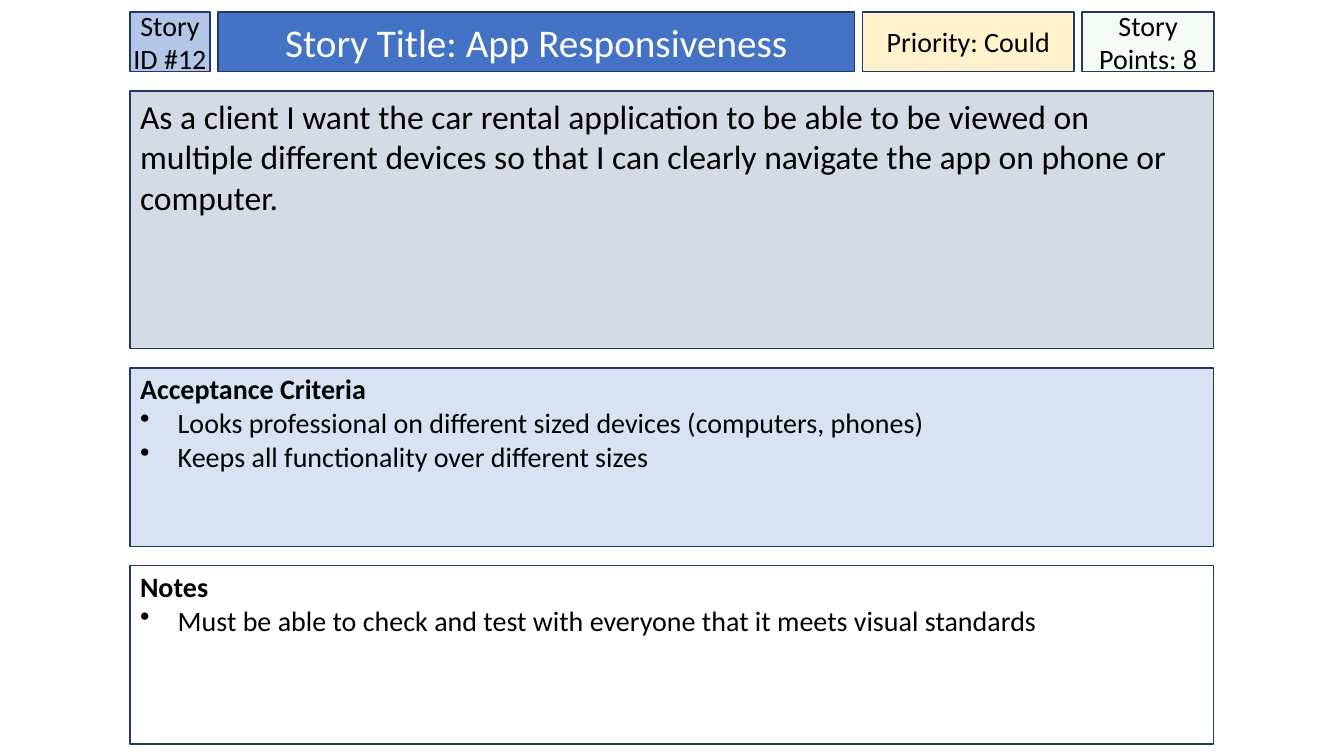
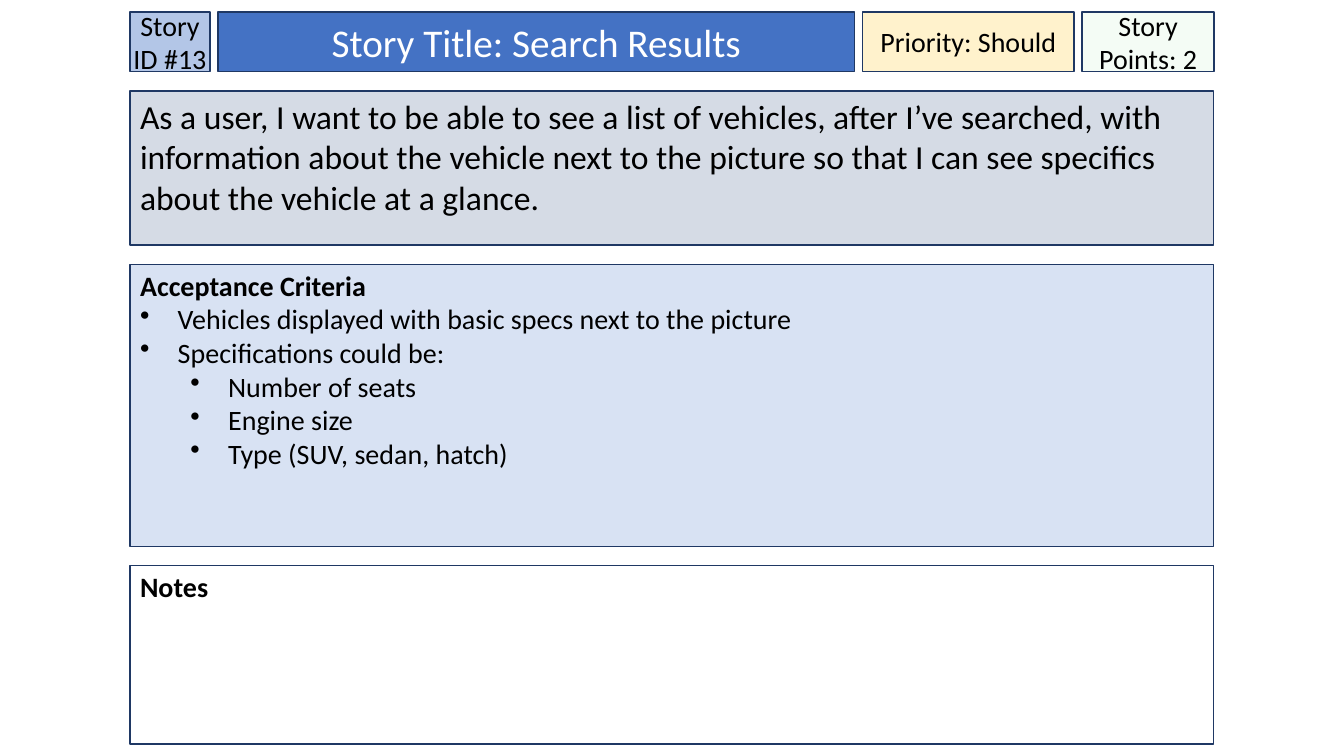
"""Build user story cards, one slide for each story."""
from dataclasses import dataclass

from lxml import etree
from pptx import Presentation
from pptx import util as u
from pptx.dml.color import RGBColor
from pptx.enum import shapes, text
from pptx.oxml.ns import qn


@dataclass(frozen=True)
class Theme:
    font: str = "Calibri"
    ink: str = "000000"
    title_ink: str = "FFFFFF"
    outline: str = "1F3864"
    story_id: str = "B3C6E7"
    title: str = "4472C4"
    priority: str = "FFF2CC"
    points: str = "CCF0CD"
    points_alpha: int = 20
    story: str = "D5DBE5"
    criteria: str = "D8E2F3"
    notes: str = "FFFFFF"
    body_size: int = 20
    story_size: int = 24
    title_size: int = 28


theme = Theme()
LEFT, TOP, HEADER_HEIGHT, HEADER_GAP = 3.28, 0.3, 1.5, 0.2
PANEL_WIDTH, PANEL_TOP, PANEL_GAP = 27.31, 2.29, 0.48
NOTES_TOP, NOTES_HEIGHT = 14.25, 4.5
INSET, PANEL_INSET_TOP = 0.25, 0.1
BULLET_INDENT, LEVEL_INDENT = 0.95, 1.27

stories = [
    {
        "id": 12, "title": "App Responsiveness", "priority": "Could", "points": 8,
        "story": "As a client I want the car rental application to be able to be viewed on "
                 "multiple different devices so that I can clearly navigate the app on phone "
                 "or computer.",
        "story_height": 6.5,
        "criteria": [
            (0, "Looks professional on different sized devices (computers, phones)"),
            (0, "Keeps all functionality over different sizes"),
        ],
        "notes": [
            (0, "Must be able to check and test with everyone that it meets visual standards"),
        ],
    },
    {
        "id": 13, "title": "Search Results", "priority": "Should", "points": 2,
        "story": "As a user, I want to be able to see a list of vehicles, after I’ve searched, "
                 "with information about the vehicle next to the picture so that I can see "
                 "specifics about the vehicle at a glance.",
        "story_height": 3.89,
        "criteria": [
            (0, "Vehicles displayed with basic specs next to the picture"),
            (0, "Specifications could be:"),
            (1, "Number of seats"),
            (1, "Engine size"),
            (1, "Type (SUV, sedan, hatch)"),
        ],
        "notes": [],
    },
]


def add_box(slide, left, top, width, height, fill, anchor, inset=INSET, inset_top=0.13):
    """Add an outlined rectangle that is ready for text."""
    shape = slide.shapes.add_shape(
        shapes.MSO_SHAPE.RECTANGLE, u.Cm(left), u.Cm(top), u.Cm(width), u.Cm(height))
    shape.shadow.inherit = False
    shape.fill.solid()
    shape.fill.fore_color.rgb = RGBColor.from_string(fill)
    shape.line.color.rgb = RGBColor.from_string(theme.outline)
    shape.line.width = u.Pt(1)
    frame = shape.text_frame
    frame.word_wrap = True
    frame.vertical_anchor = anchor
    frame.margin_left = frame.margin_right = u.Cm(inset)
    frame.margin_top, frame.margin_bottom = u.Cm(inset_top), u.Cm(0.13)
    return shape


def add_run(paragraph, words, size, color=theme.ink, bold=False, align=text.PP_ALIGN.LEFT):
    """Add one styled run to an aligned paragraph."""
    paragraph.alignment = align
    run = paragraph.add_run()
    run.text = words
    run.font.name = theme.font
    run.font.size = u.Pt(size)
    run.font.bold = bold
    run.font.color.rgb = RGBColor.from_string(color)


presentation = Presentation()
presentation.slide_width, presentation.slide_height = u.Cm(33.87), u.Cm(19.05)

for story in stories:
    slide = presentation.slides.add_slide(presentation.slide_layouts[6])

    header = [
        (f"Story ID #{story['id']}", 2.01, theme.story_id, 0, theme.body_size, theme.ink),
        (f"Story Title: {story['title']}", 16.05, theme.title, INSET,
         theme.title_size, theme.title_ink),
        (f"Priority: {story['priority']}", 5.33, theme.priority, 0, theme.body_size, theme.ink),
        (f"Story Points: {story['points']}", 3.33, theme.points, 0, theme.body_size, theme.ink),
    ]
    left = LEFT
    for words, width, fill, inset, size, color in header:
        shape = add_box(slide, left, TOP, width, HEADER_HEIGHT, fill,
                        text.MSO_ANCHOR.MIDDLE, inset)
        add_run(shape.text_frame.paragraphs[0], words, size, color,
                align=text.PP_ALIGN.CENTER)
        if fill == theme.points:
            fill_color = shape.element.spPr.find(qn("a:solidFill")).find(qn("a:srgbClr"))
            etree.SubElement(fill_color, qn("a:alpha"), val=str(theme.points_alpha * 1000))
        left += width + HEADER_GAP

    shape = add_box(slide, LEFT, PANEL_TOP, PANEL_WIDTH, story["story_height"], theme.story,
                    text.MSO_ANCHOR.TOP)
    add_run(shape.text_frame.paragraphs[0], story["story"], theme.story_size)

    criteria_top = PANEL_TOP + story["story_height"] + PANEL_GAP
    criteria_height = NOTES_TOP - PANEL_GAP - criteria_top
    panels = [
        ("Acceptance Criteria", story["criteria"], criteria_top, criteria_height, theme.criteria),
        ("Notes", story["notes"], NOTES_TOP, NOTES_HEIGHT, theme.notes),
    ]
    for heading, items, top, height, fill in panels:
        shape = add_box(slide, LEFT, top, PANEL_WIDTH, height, fill,
                        text.MSO_ANCHOR.TOP, inset_top=PANEL_INSET_TOP)
        add_run(shape.text_frame.paragraphs[0], heading, theme.body_size, bold=True)
        for level, words in items:
            paragraph = shape.text_frame.add_paragraph()
            paragraph.level = level
            add_run(paragraph, words, theme.body_size)
            properties = paragraph._p.get_or_add_pPr()
            properties.set("marL", str(u.Cm(BULLET_INDENT + level * LEVEL_INDENT)))
            properties.set("indent", str(-u.Cm(BULLET_INDENT)))
            bullet_color = etree.SubElement(properties, qn("a:buClr"))
            etree.SubElement(bullet_color, qn("a:srgbClr"), val=theme.ink)
            etree.SubElement(properties, qn("a:buChar"), char="•")

presentation.save("out.pptx")
